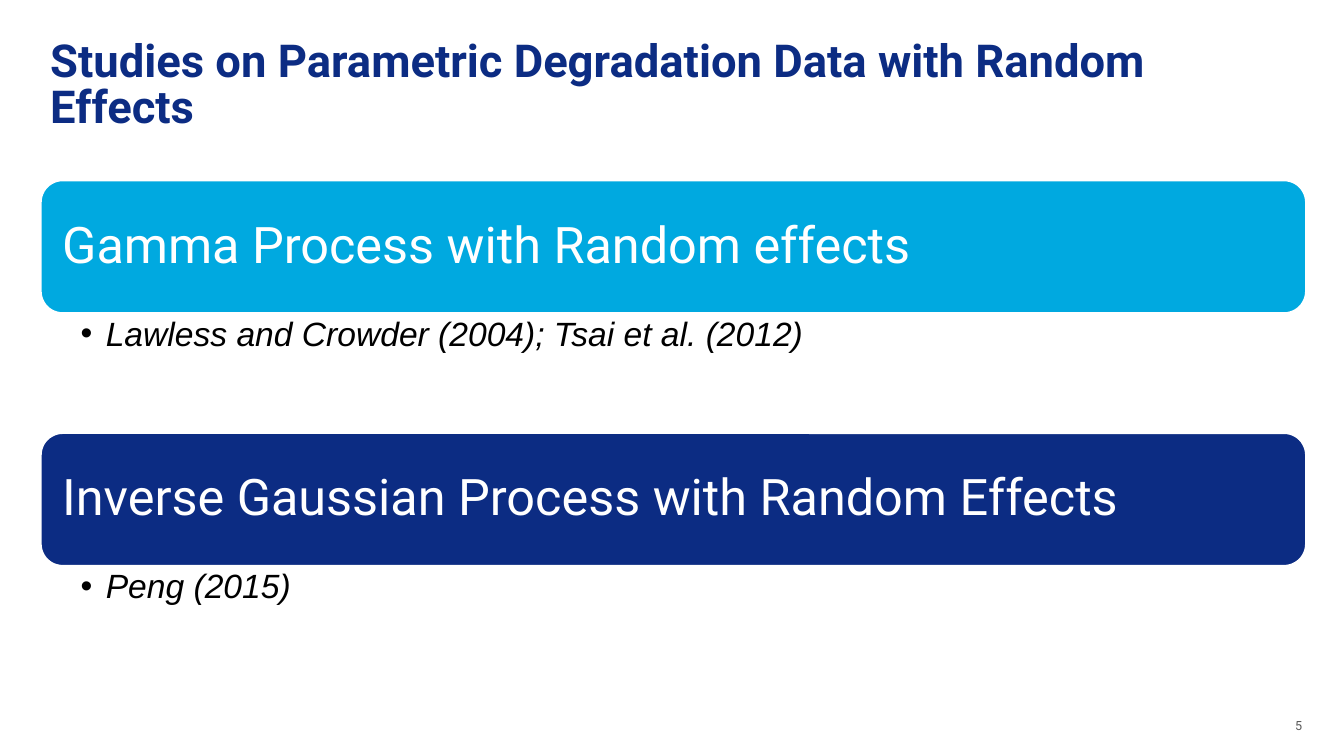
from typing import NamedTuple

from lxml import etree
from pptx import Presentation
from pptx.dml.color import RGBColor
from pptx.enum.shapes import MSO_SHAPE as Shape
from pptx.enum.text import MSO_ANCHOR as Anchor, PP_ALIGN as Align
from pptx.oxml.ns import qn
from pptx.util import Pt

NAVY, SKY, WHITE, BLACK, GREY = "0C2C83", "00A9E0", "FFFFFF", "000000", "5A5A5A"
LEFT, WIDTH = 28.8, 904.4
TOP, PITCH = 128.5, 180.5
BAR, NOTE = 95.5, 85


class Topic(NamedTuple):
    name: str
    cite: str
    fill: str


TOPICS = [
    Topic("Gamma Process with Random effects",
          "Lawless and Crowder (2004); Tsai et al. (2012)", SKY),
    Topic("Inverse Gaussian Process with Random Effects", "Peng (2015)", NAVY),
]


def color(code: str) -> RGBColor:
    return RGBColor.from_string(code)


def write(shape, text: str, ink: str, face: dict, pads: tuple = (7.2, 3.6, 7.2, 3.6),
          gap: float = 1, bullet: bool = False, anchor=Anchor.TOP) -> None:
    """Fill a shape with one paragraph; pads run left, top, right, bottom."""
    frame = shape.text_frame
    frame.word_wrap = True
    frame.vertical_anchor = anchor
    for side, pad in zip(("left", "top", "right", "bottom"), pads):
        setattr(frame, f"margin_{side}", Pt(pad))
    para = frame.paragraphs[0]
    para.alignment = Align.LEFT
    para.line_spacing = gap
    if bullet:
        props = para._p.get_or_add_pPr()
        props.set("marL", str(Pt(18)))
        props.set("indent", str(Pt(-18)))
        etree.SubElement(props, qn("a:buFont"), typeface="Arial")
        etree.SubElement(props, qn("a:buChar"), char="•")
    run = para.add_run()
    run.text = text
    run.font.color.rgb = color(ink)
    for key, value in face.items():
        setattr(run.font, key, value)


def add_box(slide, left: float, top: float, width: float, height: float):
    return slide.shapes.add_textbox(Pt(left), Pt(top), Pt(width), Pt(height))


def add_topic(slide, topic: Topic, top: float) -> None:
    bar = slide.shapes.add_shape(Shape.ROUNDED_RECTANGLE, Pt(LEFT), Pt(top),
                                 Pt(WIDTH), Pt(BAR))
    bar.shadow.inherit = False
    bar.fill.solid()
    bar.fill.fore_color.rgb = color(topic.fill)
    bar.line.color.rgb = color(WHITE)
    bar.line.width = Pt(2)
    write(bar, topic.name, WHITE, {"name": "Roboto", "size": Pt(36)},
          pads=(11, 11, 11, 11), gap=0.9, anchor=Anchor.MIDDLE)
    note = add_box(slide, LEFT, top + BAR, WIDTH, NOTE)
    write(note, topic.cite, BLACK, {"name": "Arial", "size": Pt(24), "italic": True},
          pads=(28.8, 2.4, 13.7, 2.4), gap=0.9, bullet=True)


def main() -> None:
    deck = Presentation()
    deck.slide_width, deck.slide_height = Pt(960), Pt(540)
    slide = deck.slides.add_slide(deck.slide_layouts[6])
    write(add_box(slide, LEFT, 25.2, WIDTH, 56.2),
          "Studies on Parametric Degradation Data with Random Effects", NAVY,
          {"name": "Roboto", "size": Pt(32.4), "bold": True}, gap=0.85)
    for row, topic in enumerate(TOPICS):
        add_topic(slide, topic, TOP + row * PITCH)
    write(add_box(slide, 918, 509, 36.7, 20.2), "5", GREY,
          {"name": "Roboto", "size": Pt(9)})
    deck.save("out.pptx")


if __name__ == "__main__":
    main()
